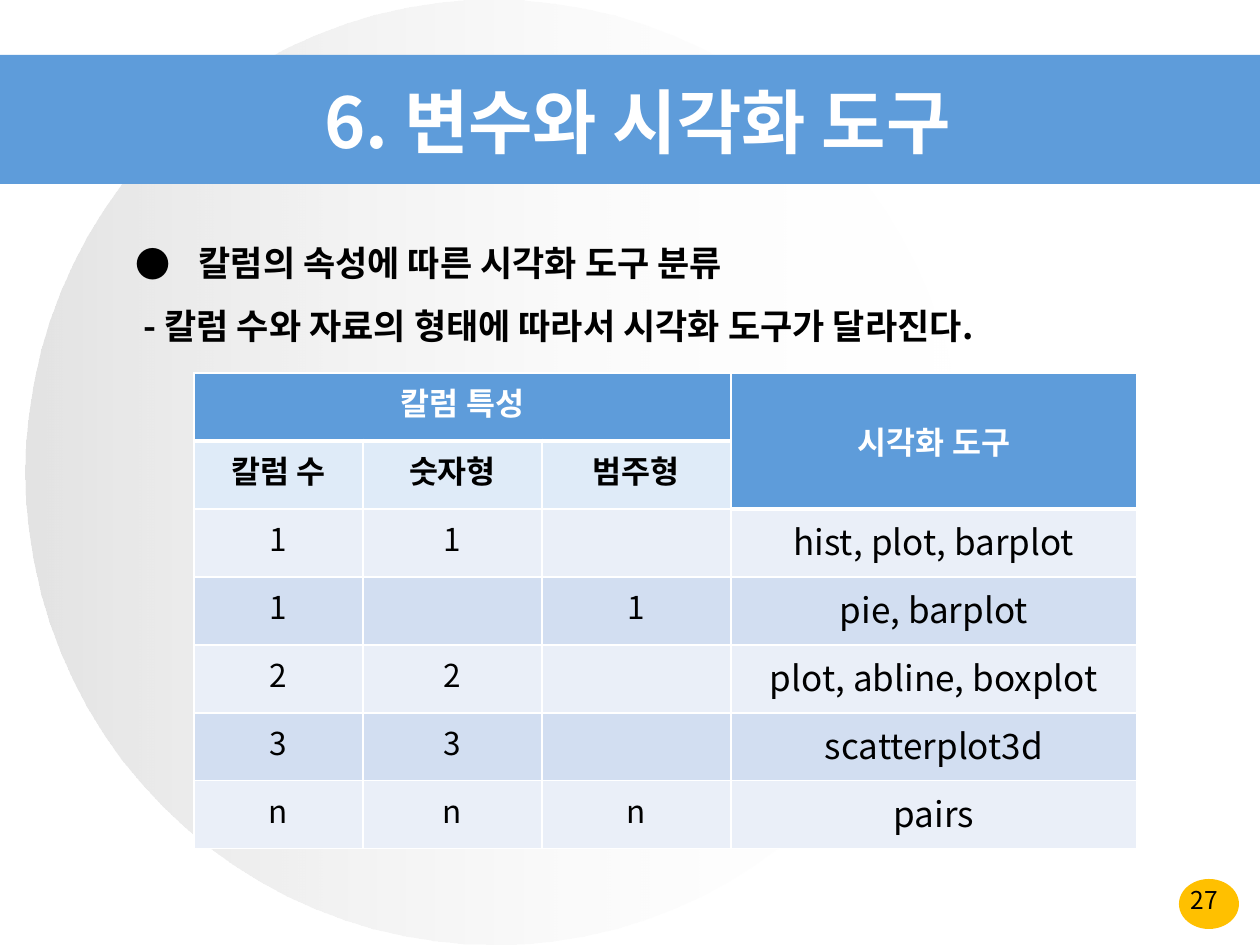
from lxml import etree
from pptx import Presentation
from pptx import util as u
from pptx.dml.color import RGBColor
from pptx.enum import shapes, text
from pptx.oxml import ns

FONT = "Noto Sans CJK KR"
COLORS = {
    "blue": "5E9CDA", "yellow": "FFC000", "gray": "C0C0C0", "white": "FFFFFF",
    "black": "000000", "subhead": "DFEBF8", "light": "EAEFF8", "dark": "D2DEF1",
}


def px(n):
    return u.Emu(round(n * 914400 / 126))


def style(paragraph, size, color, bold=False, align=text.PP_ALIGN.CENTER):
    paragraph.alignment = align
    font = paragraph.font
    font.size, font.bold, font.name = u.Pt(size), bold, FONT
    font.color.rgb = RGBColor.from_string(COLORS[color])
    defaults = paragraph._p.pPr.find(ns.qn("a:defRPr"))
    etree.SubElement(defaults, ns.qn("a:ea"), typeface=FONT)


deck = Presentation()
deck.slide_width, deck.slide_height = px(1260), px(945)
slide = deck.slides.add_slide(deck.slide_layouts[1])
title, body = slide.placeholders

backdrop = []
for kind, box, color in [
    (shapes.MSO_SHAPE.OVAL, (1179, 879, 60, 50), "yellow"),
    (shapes.MSO_SHAPE.OVAL, (25, 0, 937, 945), None),
    (shapes.MSO_SHAPE.RECTANGLE, (0, 55, 1260, 129), "blue"),
]:
    shape = slide.shapes.add_shape(kind, *map(px, box))
    shape.shadow.inherit = False
    shape.line.fill.background()
    if color:
        shape.fill.solid()
        shape.fill.fore_color.rgb = RGBColor.from_string(COLORS[color])
    else:
        shape.fill.gradient()
        shape.fill.gradient_angle = 0
        for stop, shade in zip(shape.fill.gradient_stops, ("gray", "white")):
            stop.color.rgb = RGBColor.from_string(COLORS[shade])
        tints = shape._element.spPr.iter(ns.qn("a:srgbClr"))
        for tint, opacity in zip(list(tints), (44, 0)):
            etree.SubElement(tint, ns.qn("a:alpha"), val=str(opacity * 1000))
    backdrop.append(shape._element)
for position, element in enumerate(backdrop, 2):
    slide.shapes._spTree.insert(position, element)

title.left, title.top, title.width, title.height = map(px, (15, 73, 1245, 95))
title.text_frame.text = "6. 변수와 시각화 도구"
title.text_frame.auto_size = text.MSO_AUTO_SIZE.NONE
style(title.text_frame.paragraphs[0], 40, "white", True)

page = slide.shapes.add_textbox(*map(px, (1149, 879, 111, 37))).text_frame
page.word_wrap = True
page.text = "27"
style(page.paragraphs[0], 14, "black")

body.left, body.top, body.width, body.height = map(px, (123, 214, 1071, 140))
body.text_frame.text = (
    "칼럼의 속성에 따른 시각화 도구 분류\n"
    " - 칼럼 수와 자료의 형태에 따라서 시각화 도구가 달라진다."
)
body.text_frame.auto_size = text.MSO_AUTO_SIZE.NONE
for line, bullet in zip(body.text_frame.paragraphs, ("●", None)):
    line.line_spacing = 1.5
    line.space_before = u.Pt(0)
    props = line._p.get_or_add_pPr()
    props.set("marL", str(px(63)))
    props.set("indent", str(-px(63)))
    if bullet:
        etree.SubElement(props, ns.qn("a:buFont"), typeface=FONT)
        etree.SubElement(props, ns.qn("a:buChar"), char=bullet)
    else:
        etree.SubElement(props, ns.qn("a:buNone"))
    style(line, 20, "black", True, text.PP_ALIGN.LEFT)

rows = [
    ("칼럼 특성", "", "", "시각화 도구"),
    ("칼럼 수", "숫자형", "범주형", ""),
    ("1", "1", "", "hist, plot, barplot"),
    ("1", "", "1", "pie, barplot"),
    ("2", "2", "", "plot, abline, boxplot"),
    ("3", "3", "", "scatterplot3d"),
    ("n", "n", "n", "pairs"),
]
widths = (169, 179, 189, 406)
tools = slide.shapes.add_table(
    len(rows), len(widths), *map(px, (194, 373, sum(widths), 68 * len(rows)))
).table
for column, width in zip(tools.columns, widths):
    column.width = px(width)
for r, values in enumerate(rows):
    tools.rows[r].height = px(68)
    for c, value in enumerate(values):
        heading = r == 0 or (r == 1 and c == 3)
        if heading:
            fill = "blue"
        elif r == 1:
            fill = "subhead"
        else:
            fill = "dark" if r % 2 else "light"
        cell = tools.cell(r, c)
        cell.text = value
        size = 20 if c == 3 and r > 1 else 18
        style(cell.text_frame.paragraphs[0], size, "white" if heading else "black", r < 2)
        props = cell._tc.get_or_add_tcPr()
        for side in "LRTB":
            thick = side == "B" and heading or side == "T" and (r, c) in ((1, 0), (1, 1), (1, 2), (2, 3))
            border = etree.SubElement(
                props, ns.qn(f"a:ln{side}"), w=str(u.Pt(3 if thick else 1))
            )
            paint = etree.SubElement(border, ns.qn("a:solidFill"))
            etree.SubElement(paint, ns.qn("a:srgbClr"), val=COLORS["white"])
        cell.fill.solid()
        cell.fill.fore_color.rgb = RGBColor.from_string(COLORS[fill])
tools.cell(0, 0).merge(tools.cell(0, 2))
tools.cell(0, 3).merge(tools.cell(1, 3))
tools.cell(0, 3).vertical_anchor = text.MSO_ANCHOR.MIDDLE

deck.save("out.pptx")
